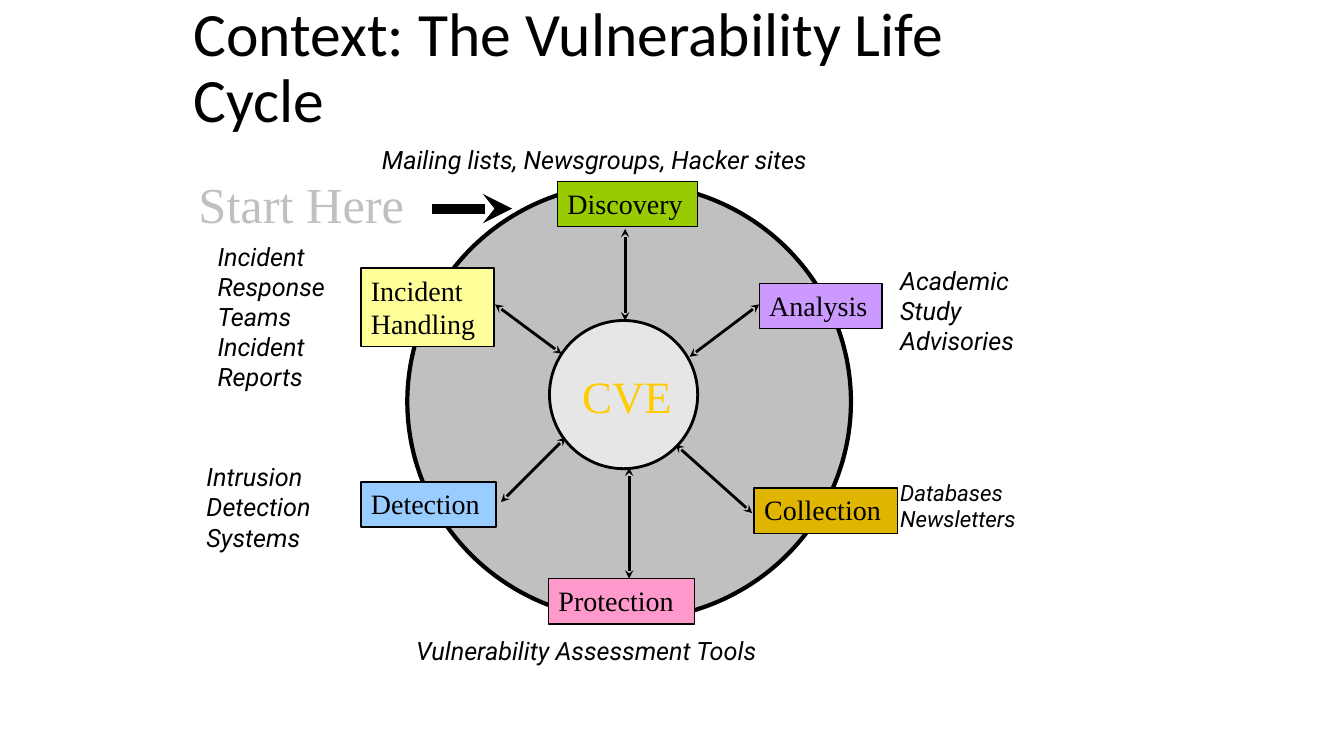
"""Build the vulnerability life cycle slide: a ring of stages around a hub."""
import pptx
import pptx.util
import pptx.dml.color
import pptx.enum.shapes
import pptx.enum.text
import pptx.oxml
import pptx.oxml.ns
from dataclasses import dataclass

Inches = pptx.util.Inches
SHAPE = pptx.enum.shapes.MSO_SHAPE
ALIGN = pptx.enum.text.PP_ALIGN
ANCHOR = pptx.enum.text.MSO_ANCHOR

TITLE = "Context: The Vulnerability Life Cycle"
TITLE_BOX = (1.82, 0.17, 9.03, 1.04)
RING = (4.04, 1.82, 4.4, 4.33)
HUB = (5.45, 3.18, 1.47, 1.47)
HUB_LABEL = ("CVE", (5.65, 3.61, 1.14, 0.63))
START_LABEL = ("Start Here", (1.87, 1.67, 2.35, 0.65))
START_ARROW = (4.28, 2.07, 5.08, 2.07)

# name, fill, box, arrow between stage and hub
STAGES = [
    ("Discovery", "99CC00", (5.53, 1.8, 1.39, 0.45), (6.2, 2.27, 6.2, 3.18)),
    ("Analysis", "CC99FF", (7.53, 2.81, 1.22, 0.45), (7.53, 3.02, 6.84, 3.54)),
    ("Collection", "E0B500", (7.48, 4.84, 1.42, 0.45), (7.46, 5.09, 6.7, 4.41)),
    ("Protection", "FF99CC", (5.44, 5.74, 1.45, 0.45), (6.24, 5.74, 6.24, 4.64)),
    ("Detection", "99CCFF", (3.58, 4.78, 1.34, 0.45), (4.97, 4.98, 5.61, 4.34)),
    ("Incident\nHandling", "FFFF99", (3.58, 2.66, 1.32, 0.78), (4.91, 3.02, 5.57, 3.51)),
]


@dataclass(frozen=True)
class Theme:
    """Colours, fonts and type sizes."""
    ink: str = "000000"
    grey: str = "C0C0C0"
    pale: str = "E7E6E6"
    gold: str = "FFCC00"
    title_font: str = "Calibri"
    label_font: str = "Times New Roman"
    note_font: str = "Roboto"
    title: int = 44
    start: int = 36
    hub: int = 32
    stage: int = 20
    note: int = 18
    small: int = 16


T = Theme()

NOTES = [
    ("Mailing lists, Newsgroups, Hacker sites", (3.69, 1.38, 4.97, 0.4), T.note),
    ("Academic Study\nAdvisories", (8.83, 2.58, 1.87, 1), T.note),
    ("Databases\nNewsletters", (8.83, 4.7, 2, 0.64), T.small),
    ("Vulnerability Assessment Tools", (4.03, 6.25, 4.07, 0.4), T.note),
    ("Intrusion Detection Systems", (1.95, 4.53, 1.97, 1), T.note),
    ("Incident Response Teams\nIncident Reports", (2.06, 2.34, 1.54, 1.6), T.note),
]


def rgb(value):
    """Turn a hex string into a colour."""
    return pptx.dml.color.RGBColor.from_string(value)


def write(sp, text, font, size, color=T.ink, italic=False, align=ALIGN.LEFT):
    """Fill a shape with paragraphs in one style."""
    tf = sp.text_frame
    tf.word_wrap = True
    tf.auto_size = pptx.enum.text.MSO_AUTO_SIZE.NONE
    tf.text = text
    for p in tf.paragraphs:
        p.alignment = align
        p.font.name = font
        p.font.size = pptx.util.Pt(size)
        p.font.italic = italic
        p.font.color.rgb = rgb(color)
    return tf


def add_box(s, kind, box, fill, line=None):
    """Add a filled shape, outlined when a line width is given."""
    sp = s.shapes.add_shape(kind, *map(Inches, box))
    sp.shadow.inherit = False
    sp.fill.solid()
    sp.fill.fore_color.rgb = rgb(fill)
    if line:
        sp.line.color.rgb = rgb(T.ink)
        sp.line.width = pptx.util.Pt(line)
    else:
        sp.line.fill.background()
    sp.text_frame.vertical_anchor = ANCHOR.TOP
    return sp


def add_text(s, text, box, *style, **options):
    """Add a text box."""
    write(s.shapes.add_textbox(*map(Inches, box)), text, *style, **options)


def add_arrow(s, ends, width, heads):
    """Add a straight line with stealth arrowheads."""
    c = s.shapes.add_connector(pptx.enum.shapes.MSO_CONNECTOR.STRAIGHT, *map(Inches, ends))
    c.line.color.rgb = rgb(T.ink)
    c.line.width = pptx.util.Pt(width)
    ln = c.line._get_or_add_ln()
    for head in heads:
        end = pptx.oxml.parse_xml(f'<a:{head} {pptx.oxml.ns.nsdecls("a")} type="stealth"/>')
        ln.append(end)
    ln.addnext(pptx.oxml.parse_xml(f'<a:effectLst {pptx.oxml.ns.nsdecls("a")}/>'))


def main():
    """Draw the slide and save it."""
    prs = pptx.Presentation()
    prs.slide_width, prs.slide_height = Inches(13.33), Inches(7.5)
    s = prs.slides.add_slide(prs.slide_layouts[5])

    title = s.shapes.title
    title.left, title.top, title.width, title.height = map(Inches, TITLE_BOX)
    tf = write(title, TITLE, T.title_font, T.title)
    tf.vertical_anchor = ANCHOR.MIDDLE
    tf.paragraphs[0].line_spacing = 0.9

    add_box(s, SHAPE.OVAL, RING, T.grey, 3)
    for name, fill, box, arrow in STAGES:
        add_arrow(s, arrow, 2, ("headEnd", "tailEnd"))
    add_box(s, SHAPE.OVAL, HUB, T.pale, 2)
    text, box = HUB_LABEL
    label = add_box(s, SHAPE.RECTANGLE, box, T.pale)
    write(label, text, T.label_font, T.hub, T.gold, align=ALIGN.CENTER)

    for name, fill, box, arrow in STAGES:
        write(add_box(s, SHAPE.RECTANGLE, box, fill, 1), name, T.label_font, T.stage)
    for text, box, size in NOTES:
        add_text(s, text, box, T.note_font, size, italic=True)

    add_text(s, *START_LABEL, T.label_font, T.start, T.grey)
    add_arrow(s, START_ARROW, 7, ("tailEnd",))
    prs.save("out.pptx")


if __name__ == "__main__":
    main()
